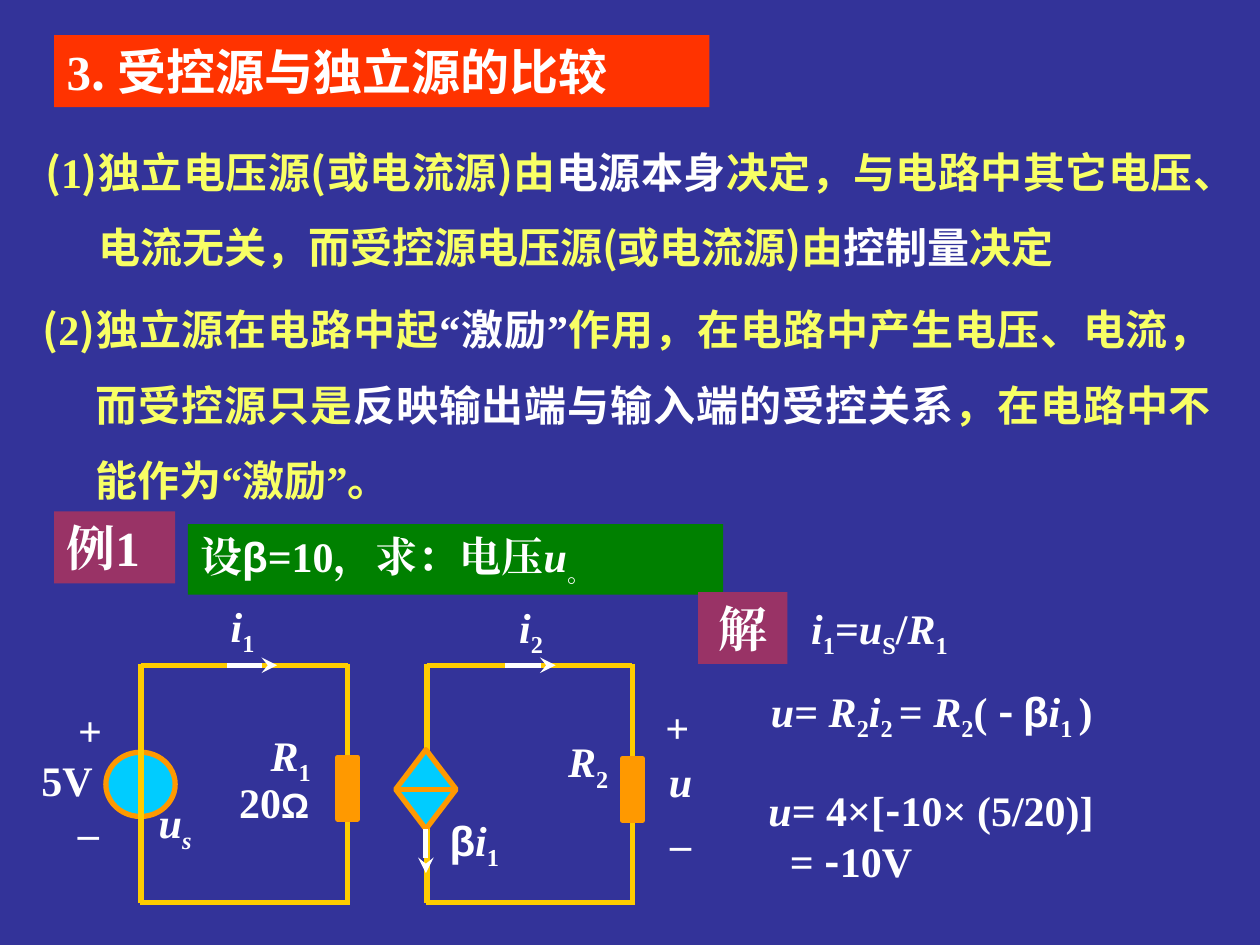
from dataclasses import dataclass
from typing import Optional

from lxml import etree
from pptx import Presentation
from pptx.dml.color import RGBColor
from pptx.enum.shapes import MSO_CONNECTOR as Link, MSO_SHAPE as Kind
from pptx.enum.text import MSO_ANCHOR as Anchor, PP_ALIGN as Align
from pptx.oxml.ns import qn
from pptx.util import Inches, Pt

HEX = {
    "back": "333399", "title": "FF3300", "tag": "993366", "task": "008000",
    "white": "FFFFFF", "yellow": "F8FF65", "wire": "FFCC00",
    "edge": "FF9900", "source": "00CCFF",
}
ROMAN, SANS, GREEK = "Times New Roman", "Noto Sans CJK SC", "Arial"

# A run is (text, marks): i italic, s subscript, c sans, g Greek,
# y yellow, m smaller
Run = tuple[str, str]
Box = tuple[float, float, float, float]
Point = tuple[float, float]


@dataclass
class Label:
    box: Box
    lines: list[list[Run]]
    size: float = 24
    fill: Optional[str] = None
    align: Align = Align.LEFT
    mid: bool = False
    wrap: bool = True
    hang: float = 0
    space: float = 1
    inset: float = 0  # left indent of the lines after the first


@dataclass
class Part:
    kind: Kind
    box: Box
    fill: str


@dataclass
class Wire:
    start: Point
    end: Point
    color: str = "wire"
    arrow: bool = False


def paint(name: str) -> RGBColor:
    return RGBColor.from_string(HEX[name])


def add_run(para, text: str, marks: str, size: float) -> None:
    run = para.add_run()
    run.text = text
    font = run.font
    face = SANS if "c" in marks else GREEK if "g" in marks else ROMAN
    font.name, font.bold, font.italic = face, True, "i" in marks
    font.size = Pt(20 if "m" in marks else size)
    font.color.rgb = paint("yellow" if "y" in marks else "white")
    props = run._r.get_or_add_rPr()
    etree.SubElement(props, qn("a:ea")).set("typeface", face)
    if "s" in marks:
        props.set("baseline", "-25000")


def add_label(slide, label: Label) -> None:
    box = [Inches(v) for v in label.box]
    if label.fill:
        shape = slide.shapes.add_shape(Kind.RECTANGLE, *box)
        shape.shadow.inherit = False
        shape.fill.solid()
        shape.fill.fore_color.rgb = paint(label.fill)
        shape.line.fill.background()
    else:
        shape = slide.shapes.add_textbox(*box)
    frame = shape.text_frame
    frame.word_wrap = label.wrap
    frame.vertical_anchor = Anchor.MIDDLE if label.mid else Anchor.TOP
    for num, line in enumerate(label.lines):
        para = frame.add_paragraph() if num else frame.paragraphs[0]
        para.alignment = label.align
        para.line_spacing = label.space
        props = para._p.get_or_add_pPr()
        left = label.hang or (label.inset if num else 0)
        props.set("marL", str(Inches(left)))
        props.set("indent", str(-Inches(label.hang)))
        for text, marks in line:
            add_run(para, text, marks, label.size)


def add_part(slide, part: Part):
    shape = slide.shapes.add_shape(part.kind, *[Inches(v) for v in part.box])
    shape.shadow.inherit = False
    shape.fill.solid()
    shape.fill.fore_color.rgb = paint(part.fill)
    shape.line.color.rgb = paint("edge")
    shape.line.width = Pt(3)
    return shape


def add_wire(slide, wire: Wire):
    ends = [Inches(v) for v in wire.start + wire.end]
    line = slide.shapes.add_connector(Link.STRAIGHT, *ends)
    line.line.color.rgb = paint(wire.color)
    line.line.width = Pt(3)
    if wire.arrow:
        tail = etree.SubElement(line.line._get_or_add_ln(), qn("a:tailEnd"))
        tail.set("type", "stealth")
    etree.SubElement(line._element.spPr, qn("a:effectLst"))
    return line


def sub(base: str, low: str, marks: str = "s") -> list[Run]:
    """An italic letter with a subscript."""
    return [(base, "i"), (low, marks)]


def center(box: Box, runs: list[Run], wrap: bool = True) -> Label:
    return Label(box, [runs], align=Align.CENTER, mid=True, wrap=wrap)


def point(box: Box, runs: list[Run]) -> Label:
    return Label(box, [runs], align=Align.JUSTIFY, mid=True, hang=0.42, space=1.5)


LABELS = [
    # Heading and the two points
    Label((0.43, 0.28, 5.2, 0.57), [[("3", ""), (". 受控源与独立源的比较", "c")]],
          28, "title", mid=True),
    point((0.26, 0.61, 9.31, 1.9), [
        ("(", "cy"), ("1", "y"), (")独立电压源(或电流源)由", "cy"),
        ("电源本身", "c"),
        ("决定，与电路中其它电压、电流无关，而受控源电压源(或电流源)由", "cy"),
        ("控制量", "c"), ("决定", "cy")]),
    point((0.24, 2.16, 9.47, 1.9), [
        ("(", "cy"), ("2", "y"), (")独立源在电路中起", "cy"),
        ("“", ""), ("激励", "c"), ("”", ""),
        ("作用，在电路中产生电压、电流，而受控源只是", "cy"),
        ("反映输出端与输入端的受控关系", "c"), ("，在电路中不能作为", "cy"),
        ("“", "y"), ("激励", "cy"), ("”", "y"), ("。", "cy")]),
    # Example and solution
    Label((0.43, 4.06, 0.96, 0.57), [[("例1", "")]], 28, "tag"),
    Label((1.49, 4.16, 4.25, 0.56),
          [[("设", ""), ("β", "g"), ("=10，求：电压", ""), ("u", "i"), ("。", "s")]],
          fill="task"),
    Label((5.54, 4.7, 0.71, 0.57), [[("解", "")]], 28, "tag", Align.CENTER),
    Label((6.34, 4.73, 2.36, 0.56),
          [sub("i", "1") + [("=", "")] + sub("u", "S") + [("/", "")] + sub("R", "1")]),
    Label((6.02, 5.39, 3.55, 0.56),
          [[("u", "i"), ("= ", "")] + sub("R", "2") + sub("i", "2 ") + [("= ", "")]
           + sub("R", "2") + [("( ", ""), ("- ", "c"), ("β", "g")]
           + sub("i", "1 ") + [(")", "")]]),
    Label((6, 6.18, 3.71, 0.96),
          [[("u", "i"), ("= 4×[", ""), ("-", "c"), ("10× (5/20)]", "")],
           [("= ", ""), ("-", "c"), ("10V", "")]], inset=0.17),
    # Circuit values
    Label((0.23, 5.94, 0.65, 0.5), [[("5V", "")]]),
    Label((1.8, 6.11, 0.88, 0.5), [[("20", ""), ("Ω", "gm")]]),
    Label((2.05, 5.74, 0.52, 0.56), [sub("R", "1")], wrap=False),
    Label((4.41, 5.79, 0.52, 0.56), [sub("R", "2")], wrap=False),
    center((3.43, 6.41, 0.67, 0.56), [("β", "g")] + sub("i", "1")),
    center((1.65, 4.71, 0.55, 0.56), sub("i", "1")),
    center((3.94, 4.72, 0.55, 0.56), sub("i", "2")),
    center((1.16, 6.27, 0.46, 0.56), sub("u", "s", "is"), False),
    center((5.21, 5.95, 0.38, 0.5), [("u", "i")], False),
    # Signs of the voltages
    center((0.52, 5.54, 0.39, 0.5), [("+", "")]),
    center((0.52, 6.24, 0.32, 0.5), [("_", "")]),
    center((5.18, 5.52, 0.39, 0.5), [("+", "")]),
    center((5.22, 6.33, 0.32, 0.5), [("_", "")]),
]

TOP, BASE = 5.28, 7.16
LOOPS = [(1.12, 2.76), (3.39, 5.02)]
ROUND = Part(Kind.OVAL, (0.84, 5.97, 0.55, 0.51), "source")
LOADS = [Part(Kind.RECTANGLE, (x, y, 0.16, 0.49), "edge")
         for x, y in [(2.68, 6.01), (4.94, 6.02)]]
DIAMOND = Part(Kind.DIAMOND, (3.14, 5.95, 0.48, 0.63), "source")


def draw_loops(slide) -> None:
    add_part(slide, ROUND)
    for left, right in LOOPS:
        for x in (left, right):
            add_wire(slide, Wire((x, TOP - 0.01), (x, BASE + 0.01)))
        add_wire(slide, Wire((left, TOP), (right, TOP)))
        add_wire(slide, Wire((left - 0.01, BASE), (right + 0.02, BASE)))
    for load in LOADS:
        add_part(slide, load)
    gem = add_part(slide, DIAMOND)
    bar = add_wire(slide, Wire((3.14, 6.26), (3.62, 6.26), "edge"))
    bar.begin_connect(gem, 1)
    bar.end_connect(gem, 3)
    # Current arrows
    for x in (1.8, 4.01):
        add_wire(slide, Wire((x, TOP), (x + 0.4, TOP), "white", True))
    down = add_wire(slide, Wire((3.38, 6.58), (3.38, 6.93), "white", True))
    down.begin_connect(gem, 2)


def main() -> None:
    deck = Presentation()
    deck.slide_width, deck.slide_height = Inches(10), Inches(7.5)
    slide = deck.slides.add_slide(deck.slide_layouts[6])
    slide.background.fill.solid()
    slide.background.fill.fore_color.rgb = paint("back")
    draw_loops(slide)
    for label in LABELS:
        add_label(slide, label)
    deck.save("out.pptx")


if __name__ == "__main__":
    main()
